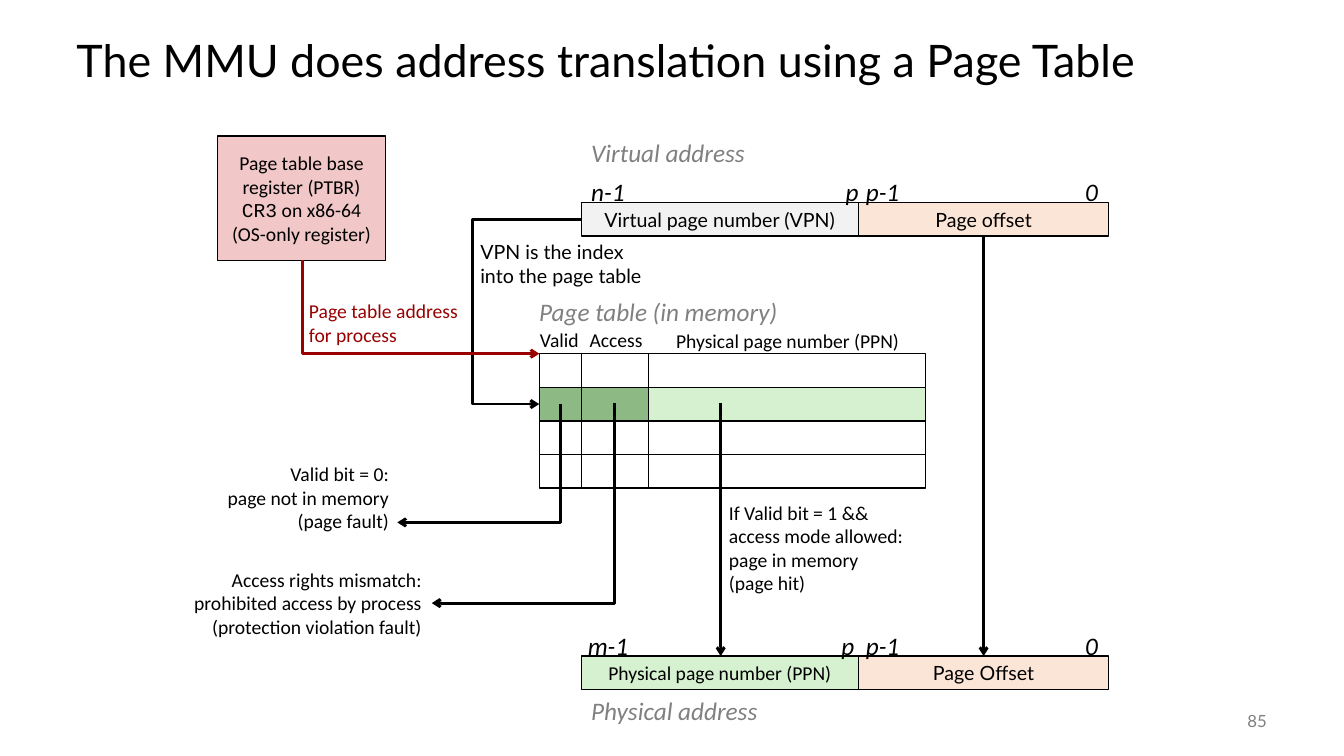
from dataclasses import dataclass
from itertools import accumulate
from typing import Optional

from lxml import etree
from pptx import Presentation
from pptx.dml.color import RGBColor
from pptx.enum.shapes import MSO_CONNECTOR, MSO_SHAPE
from pptx.enum.text import MSO_ANCHOR, MSO_AUTO_SIZE, PP_ALIGN
from pptx.oxml.ns import qn
from pptx.util import Inches, Pt

LEFT, CENTER, RIGHT = PP_ALIGN.LEFT, PP_ALIGN.CENTER, PP_ALIGN.RIGHT
TOP, MIDDLE = MSO_ANCHOR.TOP, MSO_ANCHOR.MIDDLE
STRAIGHT, ELBOW = MSO_CONNECTOR.STRAIGHT, MSO_CONNECTOR.ELBOW
RECTANGLE = MSO_SHAPE.RECTANGLE
NO_AUTOFIT = MSO_AUTO_SIZE.NONE
COLUMNS, ROWS = 160, 90


@dataclass(frozen=True)
class Theme:
    black: str = "000000"
    gray: str = "808080"
    red: str = "990000"
    pink: str = "F1C7C7"
    silver: str = "F2F2F2"
    peach: str = "FBE5D6"
    light_green: str = "D5F1CF"
    dark_green: str = "8DBA84"
    sans: str = "Lato"
    label: str = "Calibri"
    code: str = "Courier New"
    title_size: int = 32
    heading_size: int = 18
    body_size: int = 14
    number_size: int = 12


THEME = Theme()


@dataclass(frozen=True)
class Area:
    column: float
    row: float
    columns: float
    rows: float


@dataclass(frozen=True)
class Span:
    text: str
    font: str


@dataclass(frozen=True)
class Label:
    area: Area
    lines: tuple
    size: int = THEME.body_size
    color: str = THEME.black
    font: str = THEME.label
    italic: bool = False
    align: PP_ALIGN = LEFT
    anchor: MSO_ANCHOR = TOP
    wrap: bool = False


@dataclass(frozen=True)
class Block:
    area: Area
    fill: Optional[str] = None
    lines: tuple = ()
    font: str = THEME.sans


@dataclass(frozen=True)
class Arrow:
    start: tuple[float, float]
    end: tuple[float, float]
    color: str = THEME.black
    bend: Optional[float] = None


deck = Presentation()
deck.slide_width, deck.slide_height = Inches(13.333), Inches(7.5)


def across(columns: float) -> int:
    return round(deck.slide_width * columns / COLUMNS)


def down(rows: float) -> int:
    return round(deck.slide_height * rows / ROWS)


def place(area: Area) -> tuple[int, int, int, int]:
    return across(area.column), down(area.row), across(area.columns), down(area.rows)


def write_text(frame, lines: tuple, *, size: int = THEME.body_size, color: str = THEME.black,
               font: str = THEME.label, italic: bool = False, align: PP_ALIGN = LEFT,
               anchor: MSO_ANCHOR = TOP, wrap: bool = True, spacing: float = 1.0) -> None:
    frame.word_wrap = wrap
    frame.auto_size = NO_AUTOFIT
    frame.vertical_anchor = anchor
    for index, line in enumerate(lines):
        para = frame.add_paragraph() if index else frame.paragraphs[0]
        para.alignment = align
        para.line_spacing = spacing
        for part in (Span(line, font),) if isinstance(line, str) else line:
            span = para.add_run()
            span.text = part.text
            span.font.name = part.font
            span.font.size = Pt(size)
            span.font.italic = italic
            span.font.color.rgb = RGBColor.from_string(color)


def draw_label(slide, label: Label) -> None:
    box = slide.shapes.add_textbox(*place(label.area))
    write_text(box.text_frame, label.lines, size=label.size, color=label.color, font=label.font,
               italic=label.italic, align=label.align, anchor=label.anchor, wrap=label.wrap)


def draw_block(slide, block: Block) -> None:
    box = slide.shapes.add_shape(RECTANGLE, *place(block.area))
    box.shadow.inherit = False
    if block.fill:
        box.fill.solid()
        box.fill.fore_color.rgb = RGBColor.from_string(block.fill)
    else:
        box.fill.background()
    box.line.color.rgb = RGBColor.from_string(THEME.black)
    box.line.width = Pt(1)
    if block.lines:
        write_text(box.text_frame, block.lines, font=block.font, align=CENTER, anchor=MIDDLE)


def draw_arrow(slide, arrow: Arrow) -> None:
    (x1, y1), (x2, y2) = arrow.start, arrow.end
    corner = x1 != x2 and arrow.bend is None
    if corner:
        middle_x, middle_y = (x1 + x2) / 2, (y1 + y2) / 2
        half_x, half_y = abs(y2 - y1) / 2, abs(x2 - x1) / 2
        x1, x2 = middle_x - half_x, middle_x + half_x
        y1, y2 = middle_y - half_y, middle_y + half_y
    kind = STRAIGHT if x1 == x2 else ELBOW
    line = slide.shapes.add_connector(kind, across(x1), down(y1), across(x2), down(y2))
    line.line.color.rgb = RGBColor.from_string(arrow.color)
    line.line.width = Pt(2)
    properties = line._element.spPr
    geometry = properties.find(qn("a:prstGeom"))
    if corner:
        geometry.set("prst", "bentConnector2")
        frame = properties.find(qn("a:xfrm"))
        rightward = arrow.end[0] > arrow.start[0]
        frame.set("rot", str((270 if rightward else 90) * 60000))
        if rightward:
            frame.set("flipH", "1")
    elif arrow.bend is not None:
        guide = etree.SubElement(geometry.find(qn("a:avLst")), qn("a:gd"))
        guide.set("name", "adj1")
        guide.set("fmla", f"val {round(arrow.bend * 100000)}")
    etree.SubElement(properties.find(qn("a:ln")), qn("a:tailEnd")).set("type", "arrow")
    etree.SubElement(properties, qn("a:effectLst"))


def heading(column: float, row: float, columns: float, text: str,
            color: str = THEME.gray) -> Label:
    return Label(Area(column, row, columns, 4.8), (text,), THEME.heading_size, color, italic=True)


def page_table() -> list[Block]:
    widths = (5, 8, 33)
    lefts = accumulate(widths[:-1], initial=64.2)
    hit_fills = (THEME.dark_green, THEME.dark_green, THEME.light_green)
    return [Block(Area(left, 42.1 + 4 * row, width, 4), fill if row == 1 else None)
            for left, width, fill in zip(lefts, widths, hit_fills) for row in range(4)]


def address(row: float, page_text: str, page_fill: str, page_font: str,
            offset_text: str) -> list[Block]:
    return [Block(Area(69.2, row, 33, 4), page_fill, (page_text,), page_font),
            Block(Area(102.2, row, 29.8, 4), THEME.peach, (offset_text,))]


def bit_labels(row: float, top_bit: str, top_column: float, page_column: float) -> list[Label]:
    bits = ((top_column, 7, top_bit), (page_column, 4.1, "p"), (101.9, 6.5, "p-1"), (128, 4, "0"))
    return [heading(column, row, columns, text, THEME.black) for column, columns, text in bits]


BLOCKS = [
    *address(24.1, "Virtual page number (VPN)", THEME.silver, THEME.sans, "Page offset"),
    *page_table(),
    *address(78.1, "Physical page number (PPN)", THEME.light_green, THEME.label, "Page Offset"),
    Block(Area(25.9, 16.2, 20, 14.8), THEME.pink,
          ("Page table base register (PTBR)",
           (Span("CR3", THEME.code), Span(" on x86-64", THEME.label)),
           "(OS-only register)"), THEME.label),
]
ARROWS = [
    Arrow((69.2, 26.1), (64.2, 48.1), bend=2.58),
    Arrow((117.1, 28.1), (117.1, 78.1)),
    Arrow((85.8, 48), (85.8, 78.1)),
    Arrow((66.7, 48.1), (47.3, 62.2)),
    Arrow((73.2, 48), (51.4, 71.8)),
    Arrow((36, 30.9), (64.2, 42.1), THEME.red),
]
LABELS = [
    heading(69.2, 15.8, 21.4, "Virtual address"),
    heading(69.2, 82.2, 22.9, "Physical address"),
    heading(63, 34.7, 36.6, "Page table (in memory)"),
    *bit_labels(20.4, "n-1", 69.2, 99.5),
    *bit_labels(74.5, "m-1", 68.8, 99),
    Label(Area(63.1, 38.5, 7.3, 4.1), ("Valid",)),
    Label(Area(69, 38.5, 8.8, 4.1), ("Access",)),
    Label(Area(79.3, 38.6, 29.8, 4.1), ("Physical page number (PPN)",)),
    Label(Area(35.6, 35, 20.8, 6.8), ("Page table address", "for process"), color=THEME.red),
    Label(Area(56, 28, 22.8, 6.8), ("VPN is the index", "into the page table"), font=THEME.sans),
    Label(Area(25.4, 54.4, 22.1, 9.7),
          ("Valid bit = 0:", "page not in memory", "(page fault)"), align=RIGHT),
    Label(Area(21, 67, 30.4, 9.7),
          ("Access rights mismatch:", "prohibited access by process",
           "(protection violation fault)"), align=RIGHT),
    Label(Area(85.6, 59, 23.3, 12.5),
          ("If Valid bit = 1 &&", "access mode allowed:", "page in memory", "(page hit)")),
    Label(Area(140, 83.4, 12, 4.8), ("85",), THEME.number_size, THEME.gray, THEME.sans,
          align=RIGHT, anchor=MIDDLE, wrap=True),
]


def main() -> None:
    slide = deck.slides.add_slide(deck.slide_layouts[5])
    title = slide.shapes.title
    title.left, title.top, title.width, title.height = place(Area(7.9, 3, 144, 9))
    write_text(title.text_frame, ("The MMU does address translation using a Page Table",),
               size=THEME.title_size, font=THEME.sans, anchor=MIDDLE, spacing=0.9)
    for draw, items in ((draw_block, BLOCKS), (draw_arrow, ARROWS), (draw_label, LABELS)):
        for item in items:
            draw(slide, item)
    deck.save("out.pptx")


if __name__ == "__main__":
    main()
